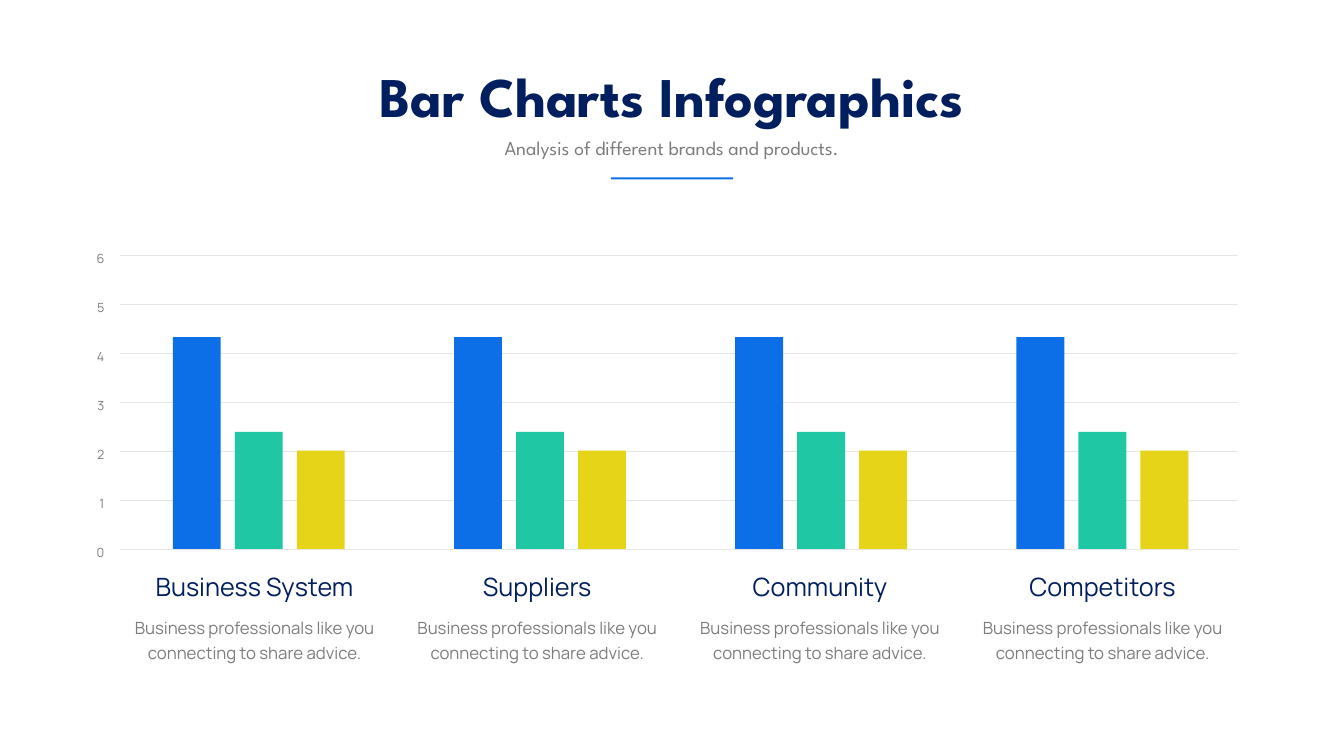
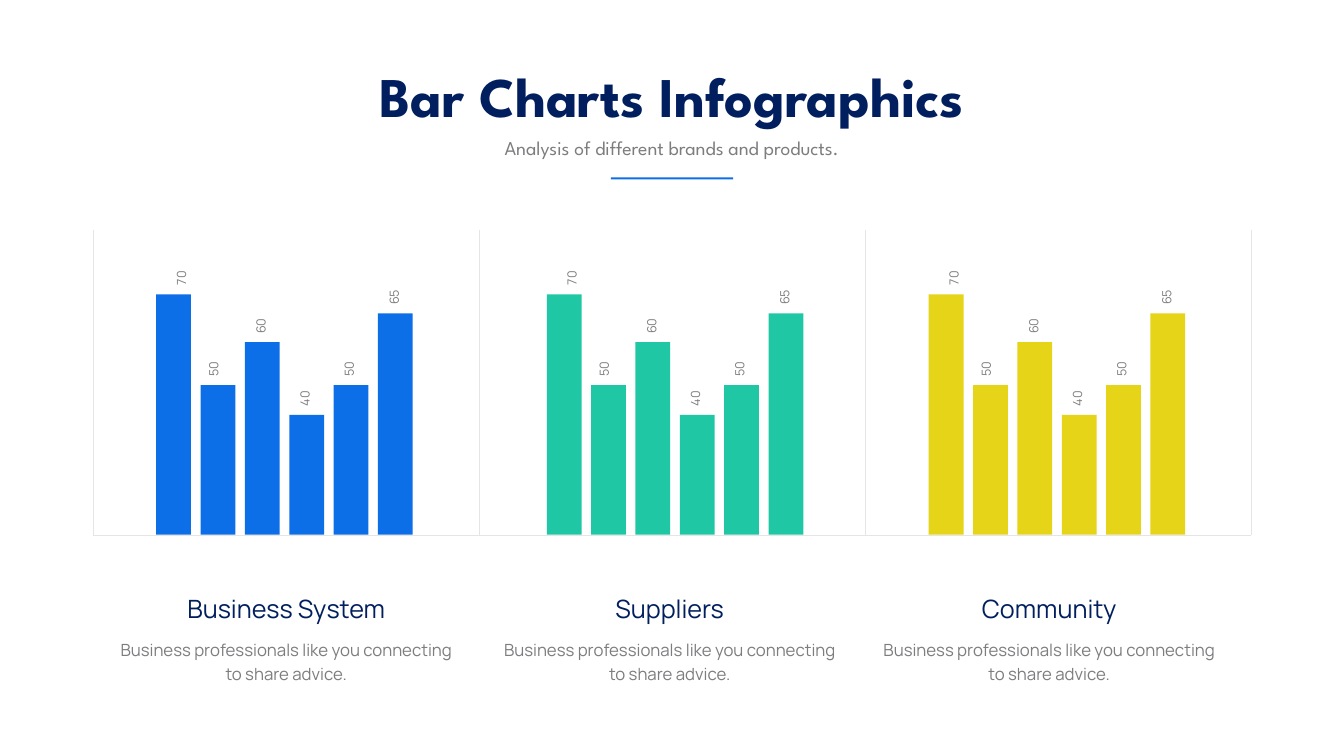
"""Builds two bar chart infographic slides."""
from lxml.etree import SubElement
from pptx import Presentation
from pptx.dml.color import RGBColor
from pptx.enum.shapes import MSO_CONNECTOR, MSO_SHAPE
from pptx.enum.text import MSO_ANCHOR, MSO_AUTO_SIZE, PP_ALIGN
from pptx.oxml.ns import qn
from pptx.util import Inches, Pt

COLORS = {
    "navy": "011F5E",
    "gray": "7E7C7F",
    "rule": "E5E5E5",
    "blue": "0D6FE8",
    "green": "1FC7A4",
    "yellow": "E5D418",
}
SERIES = ("blue", "green", "yellow")
TITLE_FONT = "League Spartan"
BODY_FONT = "Manrope"
ADVICE = "Business professionals like you connecting to share advice."


def color(name):
    return RGBColor.from_string(COLORS[name])


def write(shape, text, size, ink="gray", font=BODY_FONT, bold=False,
          align=PP_ALIGN.CENTER, leading=None, wrap=True):
    frame = shape.text_frame
    frame.word_wrap = wrap
    frame.auto_size = MSO_AUTO_SIZE.SHAPE_TO_FIT_TEXT
    frame.vertical_anchor = MSO_ANCHOR.TOP
    frame.text = text
    paragraph = frame.paragraphs[0]
    paragraph.alignment = align
    paragraph.space_before = Pt(0)
    if leading:
        paragraph.line_spacing = Pt(leading)
    style = paragraph.runs[0].font
    style.name, style.size, style.bold = font, Pt(size), bold
    style.color.rgb = color(ink)


def place(shape, left, top, width, height):
    shape.left, shape.top = Inches(left), Inches(top)
    shape.width, shape.height = Inches(width), Inches(height)


def add_label(slide, text, left, top, width, height, rotation=0, **style):
    label = slide.shapes.add_textbox(
        Inches(left), Inches(top), Inches(width), Inches(height))
    label.rotation = rotation
    write(label, text, **style)


def add_bar(slide, left, top, width, height, fill):
    bar = slide.shapes.add_shape(
        MSO_SHAPE.RECTANGLE, Inches(left), Inches(top), Inches(width), Inches(height))
    bar.shadow.inherit = False
    bar.fill.solid()
    bar.fill.fore_color.rgb = color(fill)
    bar.line.fill.background()


def add_rule(slide, x1, y1, x2, y2):
    rule = slide.shapes.add_connector(
        MSO_CONNECTOR.STRAIGHT, Inches(x1), Inches(y1), Inches(x2), Inches(y2))
    rule.line.color.rgb = color("rule")
    rule.line.width = Pt(0.5)
    SubElement(rule._element.spPr, qn("a:effectLst"))


def add_caption(slide, heading, center, top, width, leading):
    add_label(slide, heading, center - 2.45, top, 4.9, 0.71, size=36, ink="navy")
    add_label(slide, ADVICE, center - width / 2, top + 0.83, width, 1.09,
              size=24, leading=leading)


def add_headed_slide(deck):
    slide = deck.slides.add_slide(deck.slide_layouts[0])
    title, subtitle = slide.placeholders
    place(title, 6.92, 1.17, 12.82, 1.45)
    write(title, "Bar Charts Infographics", size=80, ink="navy",
          font=TITLE_FONT, bold=True, wrap=False)
    place(subtitle, 8.55, 2.65, 9.56, 0.57)
    write(subtitle, "Analysis of different brands and products.", size=28,
          font=TITLE_FONT)
    add_bar(slide, 12.12, 3.52, 2.43, 0.04, "blue")
    return slide


def add_grouped_bars(slide):
    top_value, step, baseline = 6, 0.97, 10.89
    for value in range(top_value + 1):
        drop = (top_value - value) * step
        add_rule(slide, 2.38, 5.07 + drop, 24.56, 5.07 + drop)
        add_label(slide, str(value), 1.05, 4.74 + drop, 1.12, 0.56,
                  size=18, align=PP_ALIGN.RIGHT, leading=35.6)
    headings = ("Business System", "Suppliers", "Community", "Competitors")
    for group, heading in enumerate(headings):
        for index, (fill, height) in enumerate(zip(SERIES, (4.2, 2.32, 1.95))):
            add_bar(slide, 3.43 + group * 5.58 + index * 1.23,
                    baseline - height, 0.95, height, fill)
        add_caption(slide, heading, 5.05 + group * 5.61, 11.28, 5.35, 35.6)


def add_bar_panels(slide):
    baseline = 10.61
    bars = ((70, 4.77, 0.06), (50, 2.97, -0.18), (60, 3.82, -0.12),
            (40, 2.38, -0.13), (50, 2.97, -0.13), (65, 4.39, -0.12))
    panels = (("Business System", 3.1, 5.68), ("Suppliers", 10.85, 13.29),
              ("Community", 18.43, 20.82))
    for edge in range(len(panels) + 1):
        x = 1.84 + edge * 7.66
        add_rule(slide, x, 4.57, x, baseline)
    for fill, (heading, first, center) in zip(SERIES, panels):
        for index, (value, height, shift) in enumerate(bars):
            left, top = first + index * 0.88, baseline - height
            add_bar(slide, left, top, 0.69, height, fill)
            add_label(slide, str(value), left + shift, top - 0.7, 0.84, 0.76,
                      rotation=270, size=18, leading=35.6)
        add_caption(slide, heading, center, 11.73, 6.78, 34.6)
    add_rule(slide, 1.84, baseline, 24.82, baseline)


def main():
    deck = Presentation()
    deck.slide_width, deck.slide_height = Inches(26.67), Inches(15)
    add_grouped_bars(add_headed_slide(deck))
    add_bar_panels(add_headed_slide(deck))
    deck.save("out.pptx")


if __name__ == "__main__":
    main()
